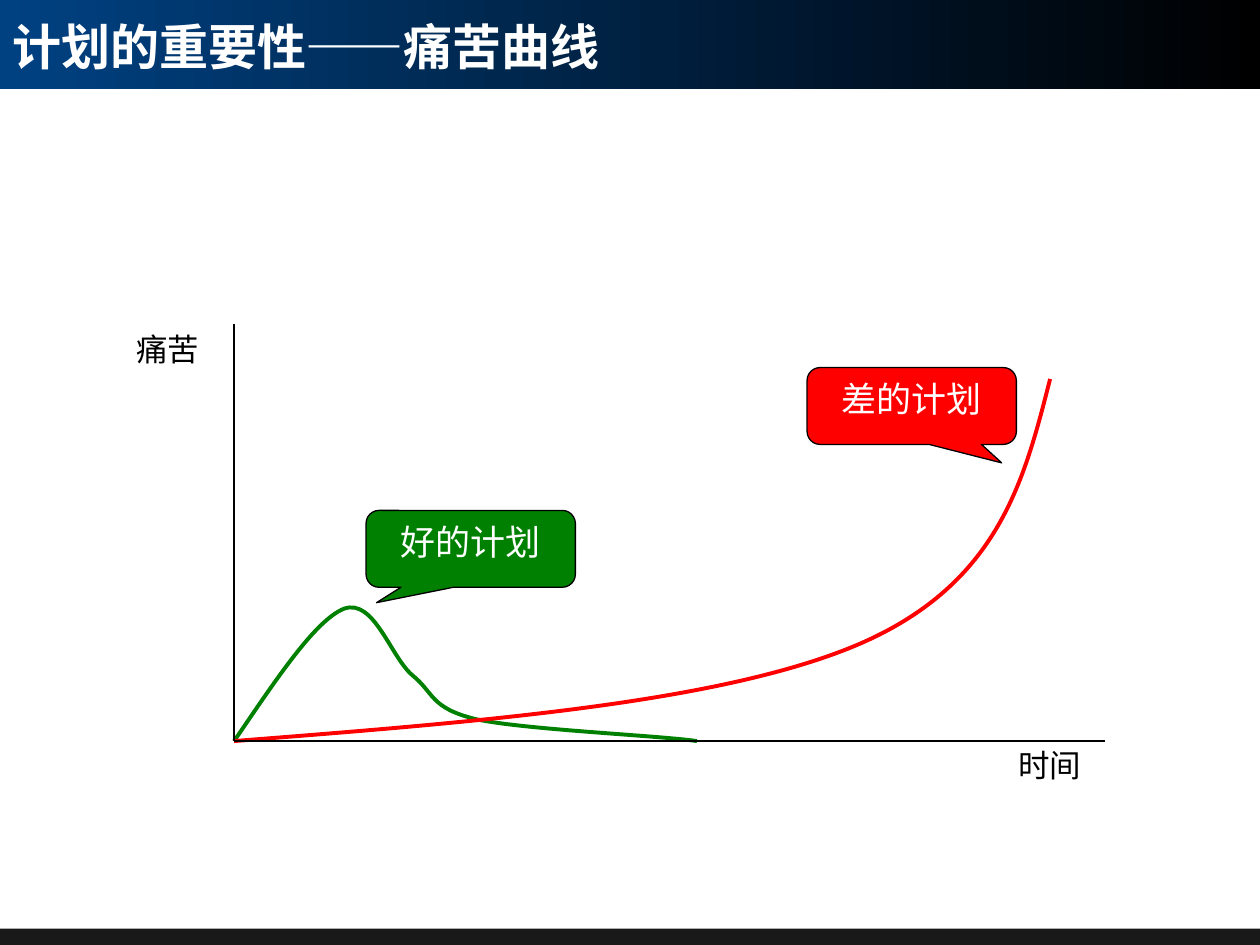
import pptx
import pptx.dml.color
import pptx.enum.shapes
import pptx.enum.text
import pptx.oxml.ns
import pptx.util
from lxml import etree

Cm = pptx.util.Cm
Pt = pptx.util.Pt
qn = pptx.oxml.ns.qn
SHAPES = pptx.enum.shapes.MSO_SHAPE
ANCHOR = pptx.enum.text.MSO_ANCHOR
ALIGN = pptx.enum.text.PP_ALIGN

WIDTH, HEIGHT = 25.4, 19.05
HEADER_HEIGHT, FOOTER_HEIGHT = 1.8, 0.33
ORIGIN = (4.72, 14.94)
AXIS_ENDS = [(22.28, 14.94), (4.72, 6.53)]
GREEN, RED, BLACK, WHITE = "008000", "FF0000", "000000", "FFFFFF"

TITLE = "计划的重要性——痛苦曲线"
TITLE_FORMAT = {"size": Pt(28), "name": "Noto Sans CJK SC", "bold": True}
LABEL_FORMAT = {"size": Pt(18), "name": "Arial"}
CALLOUT_FORMAT = {"size": Pt(20), "name": "Arial"}

CURVES = [
    (GREEN, [
        (5.54, 13.74), (6.35, 12.5), (6.94, 12.27),
        (7.54, 12.06), (7.87, 13.23), (8.31, 13.61),
        (8.76, 13.97), (8.66, 14.27), (9.6, 14.5),
        (10.57, 14.71), (13.31, 14.83), (14.05, 14.94),
    ]),
    (RED, [
        (9.68, 14.55), (14.63, 14.17), (17.4, 12.95),
        (20.14, 11.73), (20.65, 9.68), (21.17, 7.64),
    ]),
]
LABELS = [
    ("时间", (20.28, 14.91, 2.24, 1.02)),
    ("痛苦", (2.5, 6.53, 2.01, 1.02)),
]
CALLOUTS = [
    ("好的计划", GREEN, (7.38, 10.29), (-0.45, 0.7)),
    ("差的计划", RED, (16.27, 7.41), (0.43, 0.74)),
]
CALLOUT_SIZE = (4.22, 1.55)


def color(value):
    return pptx.dml.color.RGBColor.from_string(value)


def lengths(values):
    return [Cm(value) for value in values]


def set_line(shape, value, width):
    shape.line.color.rgb = color(value)
    shape.line.width = Pt(width)


def set_fill(shape, value):
    shape.fill.solid()
    shape.fill.fore_color.rgb = color(value)


def write(shape, text, text_format, value, alignment, anchor):
    frame = shape.text_frame
    frame.word_wrap = True
    frame.vertical_anchor = anchor
    paragraph = frame.paragraphs[0]
    paragraph.alignment = alignment
    run = paragraph.add_run()
    run.text = text
    for name, setting in text_format.items():
        setattr(run.font, name, setting)
    run.font.color.rgb = color(value)
    east_asian = etree.SubElement(run.font._element, qn("a:ea"))
    east_asian.set("typeface", "Noto Sans CJK SC")


def add_band(slide, top, height):
    shape = slide.shapes.add_shape(SHAPES.RECTANGLE, *lengths((0, top, WIDTH, height)))
    shape.shadow.inherit = False
    shape.line.fill.background()
    slide.shapes.title._element.addprevious(shape._element)
    return shape


def add_bands(slide):
    header = add_band(slide, 0, HEADER_HEIGHT)
    header.fill.gradient()
    header.fill.gradient_angle = 0
    for stop, value in zip(header.fill.gradient_stops, ("004182", BLACK)):
        stop.color.rgb = color(value)
    footer = add_band(slide, HEIGHT - FOOTER_HEIGHT, FOOTER_HEIGHT)
    set_fill(footer, BLACK)
    solid = footer._element.spPr.find(qn("a:solidFill"))
    etree.SubElement(solid[0], qn("a:alpha")).set("val", "90000")


def add_title(slide):
    title = slide.shapes.title
    title.left, title.top, title.width, title.height = lengths((0, 0, 14.58, 1.73))
    margins = {"margin_left": 0.25, "margin_top": 0.13, "margin_right": 0.25, "margin_bottom": 0}
    for name, margin in margins.items():
        setattr(title.text_frame, name, Cm(margin))
    write(title, TITLE, TITLE_FORMAT, WHITE, ALIGN.LEFT, ANCHOR.MIDDLE)


def add_curve(shapes, value, points):
    builder = shapes.build_freeform(*lengths(ORIGIN))
    builder.add_line_segments([lengths(point) for point in points], close=False)
    shape = builder.convert_to_shape()
    shape.shadow.inherit = False
    shape.fill.background()
    set_line(shape, value, 2.25)
    outline = next(shape._element.iter(qn("a:moveTo"))).getparent()
    segments = outline.findall(qn("a:lnTo"))
    for index in range(0, len(segments), 3):
        bezier = etree.SubElement(outline, qn("a:cubicBezTo"))
        for segment in segments[index:index + 3]:
            bezier.append(segment[0])
            outline.remove(segment)


def add_axis(shapes, end):
    straight = pptx.enum.shapes.MSO_CONNECTOR.STRAIGHT
    axis = shapes.add_connector(straight, *lengths(ORIGIN + end))
    set_line(axis, BLACK, 0.75)
    etree.SubElement(axis._element.spPr, qn("a:effectLst"))


def add_callout(shapes, text, value, position, pointer):
    box = lengths(position + CALLOUT_SIZE)
    shape = shapes.add_shape(SHAPES.ROUNDED_RECTANGULAR_CALLOUT, *box)
    shape.shadow.inherit = False
    for index, adjustment in enumerate((*pointer, 0.17)):
        shape.adjustments[index] = adjustment
    set_fill(shape, value)
    set_line(shape, BLACK, 0.75)
    write(shape, text, CALLOUT_FORMAT, WHITE, ALIGN.CENTER, ANCHOR.TOP)


def main():
    presentation = pptx.Presentation()
    presentation.slide_width, presentation.slide_height = lengths((WIDTH, HEIGHT))
    slide = presentation.slides.add_slide(presentation.slide_layouts[5])
    add_bands(slide)
    add_title(slide)
    diagram = slide.shapes.add_group_shape().shapes
    for value, points in CURVES:
        add_curve(diagram, value, points)
    for end in AXIS_ENDS:
        add_axis(diagram, end)
    for text, box in LABELS:
        label = diagram.add_textbox(*lengths(box))
        write(label, text, LABEL_FORMAT, BLACK, ALIGN.LEFT, ANCHOR.TOP)
    for callout in CALLOUTS:
        add_callout(diagram, *callout)
    presentation.save("out.pptx")


if __name__ == "__main__":
    main()
